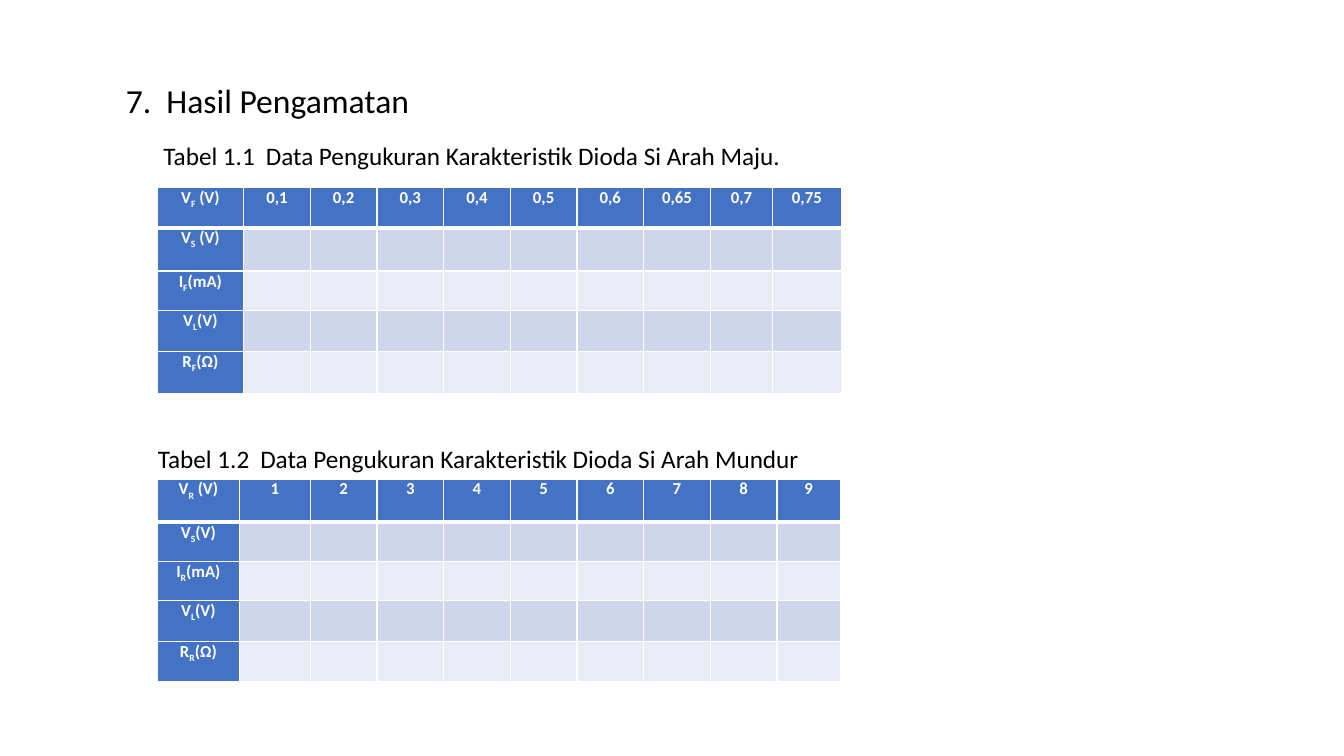
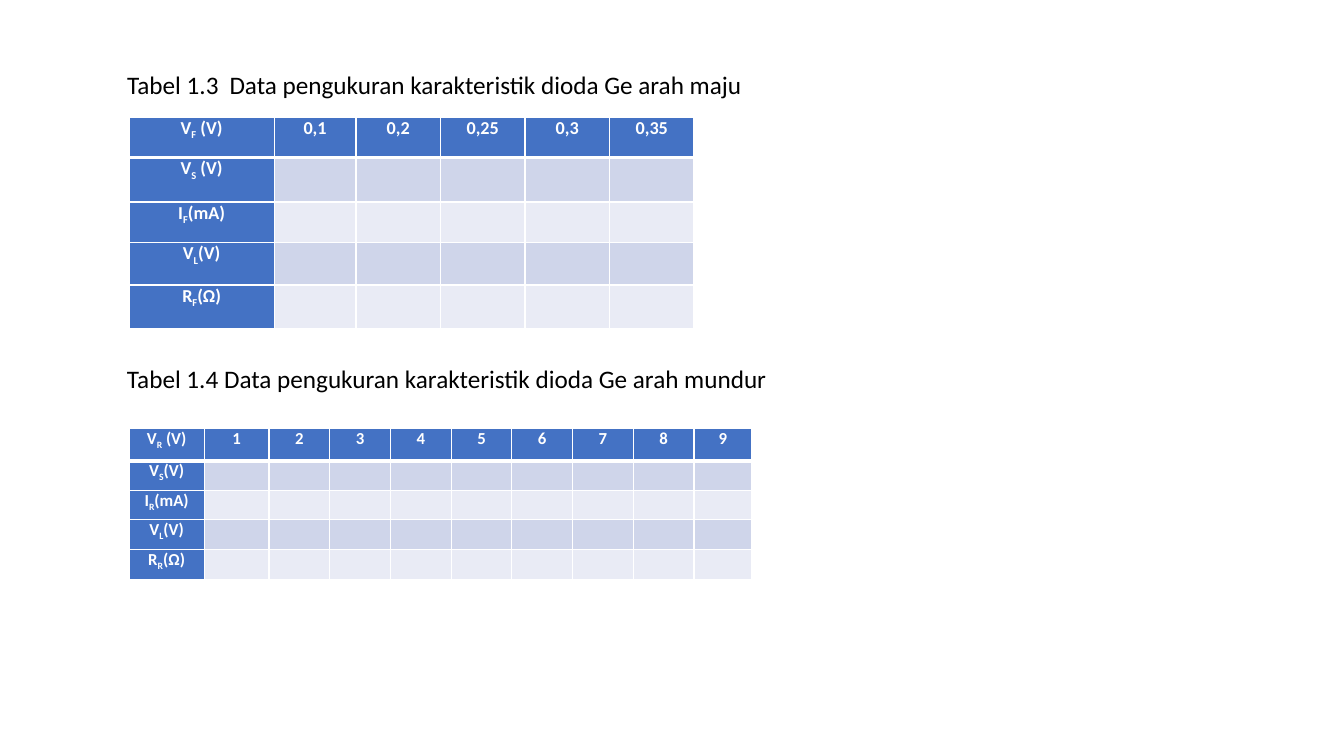
from lxml.etree import SubElement
from pptx import Presentation
from pptx.dml.color import RGBColor
from pptx.enum.text import MSO_ANCHOR, MSO_AUTO_SIZE, PP_ALIGN
from pptx.oxml.ns import qn
from pptx.util import Cm, Pt

FONT = "Calibri"
BLACK, WHITE, BLUE = "000000", "FFFFFF", "4472C4"
BANDS = ("CFD5EA", "E9EBF5")
TEXT_WIDTH = 16.94
HEADING = {"size": 24, "height": 1.27, "tab": 1.02}
CAPTION = {"size": 18, "height": 1.02, "tab": 2.58}

FORWARD = [("V", "F", " (V)"), ("V", "S", " (V)"), ("I", "F", "(mA)"),
           ("V", "L", "(V)"), ("R", "F", "(Ω)")]
REVERSE = [("V", "R", " (V)"), ("V", "S", "(V)"), ("I", "R", "(mA)"),
           ("V", "L", "(V)"), ("R", "R", "(Ω)")]
REVERSE_VOLTS = [str(volt) for volt in range(1, 10)]

SLIDES = [
    {
        "texts": [
            ("7.\tHasil Pengamatan", (2.92, 1.88), HEADING),
            ("Tabel 1.1\tData Pengukuran Karakteristik Dioda Si Arah Maju.",
             (3.87, 3.4), CAPTION),
            ("Tabel 1.2\tData Pengukuran Karakteristik Dioda Si Arah Mundur",
             (3.73, 11.05), CAPTION),
        ],
        "tables": [
            {"at": (3.96, 4.72), "size": 12, "labels": FORWARD,
             "values": ["0,1", "0,2", "0,3", "0,4", "0,5", "0,6", "0,65", "0,7", "0,75"],
             "columns": [2.18] + [1.68] * 7 + [1.57, 1.73],
             "rows": [1.02, 1.09, 0.99, 1.04, 1.07]},
            {"at": (3.96, 12.07), "size": 12, "labels": REVERSE,
             "values": REVERSE_VOLTS,
             "columns": [2.08, 1.78] + [1.68] * 7 + [1.6],
             "rows": [1.09, 0.99, 0.99, 1.02, 1.02]},
        ],
    },
    {
        "texts": [
            ("Tabel 1.3\tData pengukuran karakteristik dioda Ge arah maju",
             (2.95, 1.63), CAPTION),
            ("Tabel 1.4 Data pengukuran karakteristik dioda Ge arah mundur",
             (2.95, 9.02), CAPTION),
        ],
        "tables": [
            {"at": (3.25, 2.95), "size": 13, "labels": FORWARD,
             "values": ["0,1", "0,2", "0,25", "0,3", "0,35"],
             "columns": [3.66, 2.06] + [2.13] * 4,
             "rows": [1.02, 1.12, 1.02, 1.07, 1.09]},
            {"at": (3.25, 10.8), "size": 12, "labels": REVERSE,
             "values": REVERSE_VOLTS,
             "columns": [1.9, 1.63] + [1.53] * 7 + [1.45],
             "rows": [0.81, 0.74, 0.74, 0.76, 0.76]},
        ],
    },
]


def color(value):
    return RGBColor.from_string(value)


def add_run(paragraph, text, size, shade, bold=False):
    run = paragraph.add_run()
    run.text = text
    run.font.name = FONT
    run.font.size = Pt(size)
    run.font.bold = bold
    run.font.color.rgb = color(shade)
    return run


def write_line(shape, text, position, style):
    shape.left, shape.top = map(Cm, position)
    shape.width, shape.height = Cm(TEXT_WIDTH), Cm(style["height"])
    frame = shape.text_frame
    frame.word_wrap = True
    frame.auto_size = MSO_AUTO_SIZE.NONE
    frame.vertical_anchor = MSO_ANCHOR.TOP
    paragraph = frame.paragraphs[0]
    paragraph.alignment = PP_ALIGN.LEFT
    if "\t" in text:
        tabs = SubElement(paragraph._p.get_or_add_pPr(), qn("a:tabLst"))
        SubElement(tabs, qn("a:tab"), pos=str(Cm(style["tab"])), algn="l")
    add_run(paragraph, text, style["size"], BLACK)


def set_borders(cell, row):
    properties = cell._tc.get_or_add_tcPr()
    widths = {"lnL": 1, "lnR": 1, "lnT": 3 if row == 1 else 1, "lnB": 3 if row == 0 else 1}
    for index, (side, width) in enumerate(widths.items()):
        line = SubElement(properties, qn(f"a:{side}"), w=str(Pt(width)))
        fill = SubElement(line, qn("a:solidFill"))
        SubElement(fill, qn("a:srgbClr"), val=WHITE)
        properties.insert(index, line)


def fill_cell(cell, row, column, data):
    size = data["size"]
    cell.margin_left = cell.margin_right = Cm(0.18)
    cell.margin_top = cell.margin_bottom = 0
    is_heading = row == 0 or column == 0
    cell.fill.solid()
    cell.fill.fore_color.rgb = color(BLUE if is_heading else BANDS[(row - 1) % 2])
    set_borders(cell, row)
    paragraph = cell.text_frame.paragraphs[0]
    paragraph.alignment = PP_ALIGN.CENTER
    if column == 0:
        symbol, index, unit = data["labels"][row]
        add_run(paragraph, symbol, size, WHITE, True)
        subscript = add_run(paragraph, index, size, WHITE, True)
        subscript.font._element.set("baseline", "-25000")
        add_run(paragraph, unit, size, WHITE, True)
    elif row == 0:
        add_run(paragraph, data["values"][column - 1], size, WHITE, True)
    else:
        SubElement(paragraph._p, qn("a:endParaRPr"), sz=str(size * 100))


def add_data_table(slide, data):
    rows, columns = data["rows"], data["columns"]
    left, top = map(Cm, data["at"])
    table = slide.shapes.add_table(len(rows), len(columns), left, top,
                                   Cm(sum(columns)), Cm(sum(rows))).table
    table.first_col = True
    for column, width in enumerate(columns):
        table.columns[column].width = Cm(width)
    for row, height in enumerate(rows):
        table.rows[row].height = Cm(height)
        for column in range(len(columns)):
            fill_cell(table.cell(row, column), row, column, data)


def main():
    presentation = Presentation()
    presentation.slide_width, presentation.slide_height = Cm(33.87), Cm(19.05)
    for content in SLIDES:
        slide = presentation.slides.add_slide(presentation.slide_layouts[5])
        title, *captions = content["texts"]
        write_line(slide.shapes.title, *title)
        for caption in captions:
            write_line(slide.shapes.add_textbox(0, 0, 0, 0), *caption)
        for data in content["tables"]:
            add_data_table(slide, data)
    presentation.save("out.pptx")


if __name__ == "__main__":
    main()
